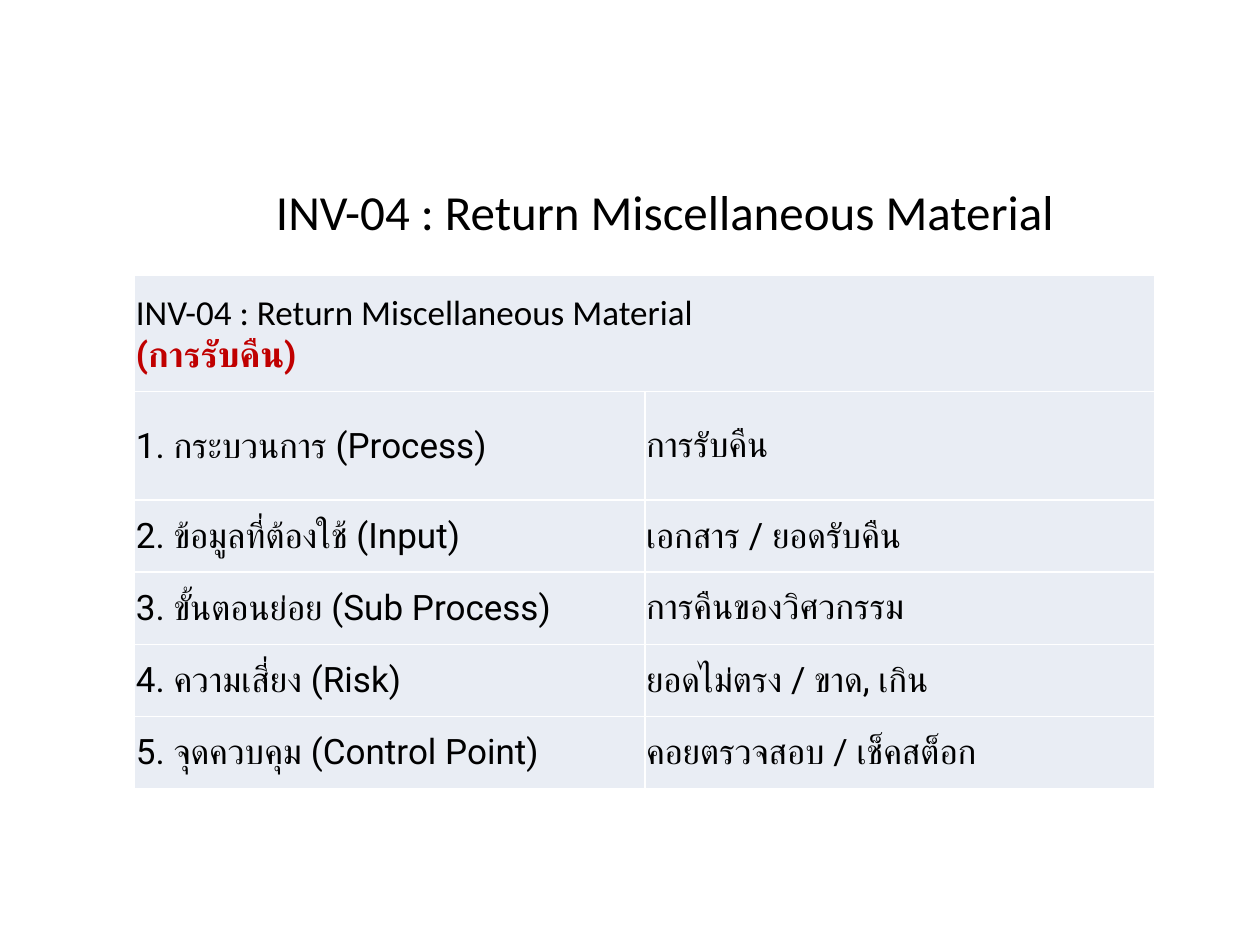
"""Build the INV-04 Return Miscellaneous Material slide with its process table."""
from lxml import etree
from pptx import Presentation
from pptx.dml.color import RGBColor
from pptx.enum import text
from pptx.oxml import ns
from pptx.util import Pt

COLORS = {"text": "000000", "accent": "C00000", "cell": "E9EDF4", "border": "FFFFFF"}
HEADING = "INV-04 : Return Miscellaneous Material"
ROWS = [
    ("1. กระบวนการ (Process)", "การรับคืน"),
    ("2. ข้อมูลที่ต้องใช้ (Input)", "เอกสาร / ยอดรับคืน"),
    ("3. ขั้นตอนย่อย (Sub Process)", "การคืนของวิศวกรรม"),
    ("4. ความเสี่ยง (Risk)", "ยอดไม่ตรง / ขาด, เกิน"),
    ("5. จุดควบคุม (Control Point)", "คอยตรวจสอบ / เช็คสต็อก"),
]
ROW_HEIGHTS = [66.8, 62] + [41.2] * 4
COLUMN_WIDTH = 291.5


def style_paragraph(paragraph, font_name, size, color="text", bold=False):
    paragraph.alignment = text.PP_ALIGN.LEFT
    font = paragraph.font
    font.name, font.size, font.bold = font_name, Pt(size), bold
    font.color.rgb = RGBColor.from_string(COLORS[color])


def style_cell(cell):
    cell.margin_left = cell.margin_top = cell.margin_right = Pt(0.7)
    cell.margin_bottom = Pt(0)
    cell.vertical_anchor = text.MSO_ANCHOR.MIDDLE
    properties = cell._tc.get_or_add_tcPr()
    for side in ("lnL", "lnR", "lnT", "lnB"):
        line = etree.SubElement(properties, ns.qn(f"a:{side}"), w=str(Pt(1)))
        fill = etree.SubElement(line, ns.qn("a:solidFill"))
        etree.SubElement(fill, ns.qn("a:srgbClr"), val=COLORS["border"])
    cell.fill.solid()
    cell.fill.fore_color.rgb = RGBColor.from_string(COLORS["cell"])


presentation = Presentation()
presentation.slide_width, presentation.slide_height = Pt(720), Pt(540)
slide = presentation.slides.add_slide(presentation.slide_layouts[5])

title = slide.shapes.title
title.left, title.top, title.width, title.height = Pt(150.5), Pt(100), Pt(465), Pt(41)
frame = title.text_frame
frame.text = HEADING
frame.word_wrap = False
frame.auto_size = text.MSO_AUTO_SIZE.SHAPE_TO_FIT_TEXT
frame.vertical_anchor = text.MSO_ANCHOR.TOP
style_paragraph(frame.paragraphs[0], "Calibri", 28)

table = slide.shapes.add_table(
    len(ROW_HEIGHTS), 2, Pt(77), Pt(157), Pt(2 * COLUMN_WIDTH), Pt(sum(ROW_HEIGHTS))
).table
table.first_row = table.horz_banding = False
for column in table.columns:
    column.width = Pt(COLUMN_WIDTH)
for row, height in zip(table.rows, ROW_HEIGHTS):
    row.height = Pt(height)
    for cell in row.cells:
        style_cell(cell)

header = table.cell(0, 0)
header.merge(table.cell(0, 1))
header.text = f"{HEADING}\n(การรับคืน)"
style_paragraph(header.text_frame.paragraphs[0], "Calibri", 20)
style_paragraph(header.text_frame.paragraphs[1], "Roboto", 20, "accent", True)

for row_index, labels in enumerate(ROWS, start=1):
    for column_index, label in enumerate(labels):
        cell = table.cell(row_index, column_index)
        cell.text = label
        style_paragraph(cell.text_frame.paragraphs[0], "Roboto", 20)

presentation.save("out.pptx")
